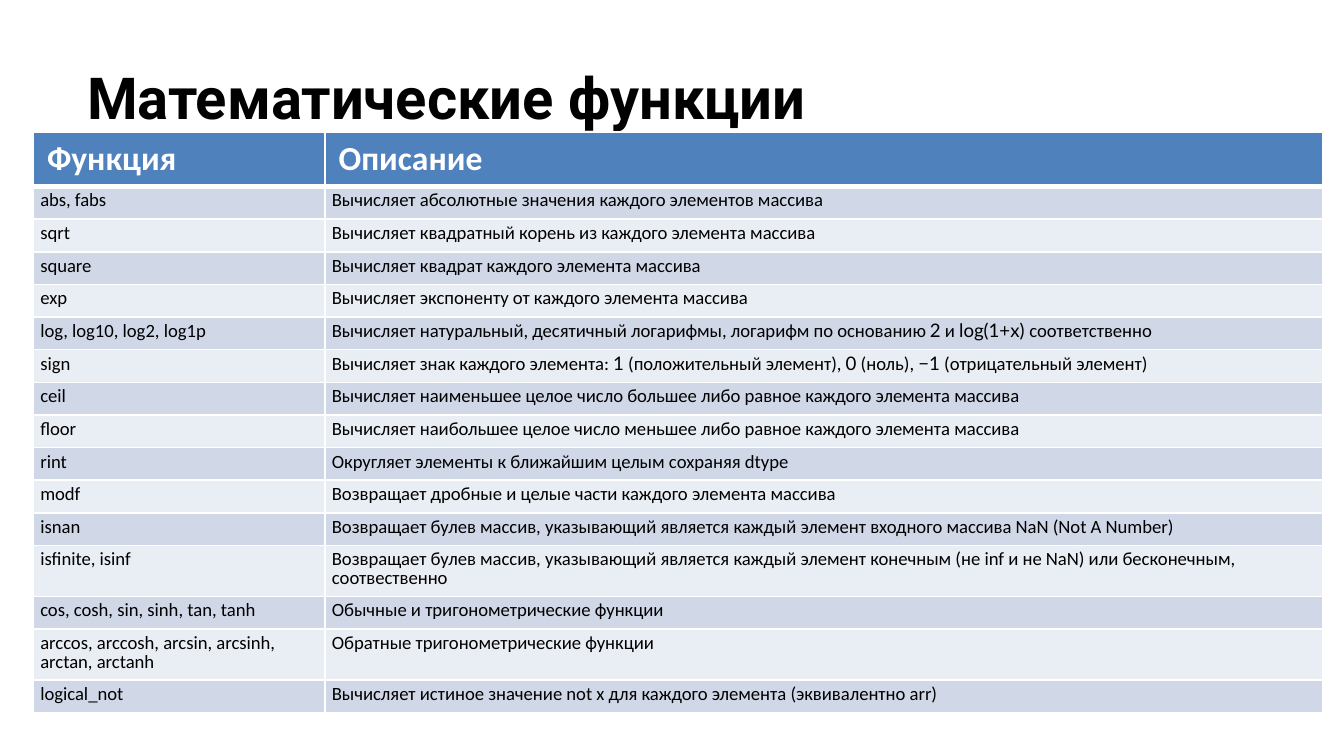
"""Build a slide with a table of mathematical array functions."""
from typing import NamedTuple

from lxml import etree
from pptx import Presentation
from pptx.dml.color import RGBColor
from pptx.enum.text import MSO_ANCHOR
from pptx.oxml.ns import qn
from pptx.util import Pt

TOP = MSO_ANCHOR.TOP
COLORS = {
    "ink": "000000",
    "paper": "FFFFFF",
    "header": "4F81BD",
    "odd": "D0D8E8",
    "even": "E9EDF4",
}
COLUMN_WIDTHS = (156.2, 534.2)
HEADER_HEIGHT, ROW_HEIGHT = 29.2, 17.5
THIN, THICK = 1, 3
SWITCH = "|"
BODY_FONTS = ("Calibri", "Lato")


class Function(NamedTuple):
    names: str
    description: str


class Style(NamedTuple):
    size: float
    color: str
    bold: bool


TITLE = Style(31, "ink", True)
HEADER = Style(18, "paper", True)
BODY = Style(10, "ink", False)

HEADINGS = Function("Функция", "Описание")
FUNCTIONS = (
    Function("abs, fabs", "Вычисляет абсолютные значения каждого элементов массива"),
    Function("sqrt", "Вычисляет квадратный корень из каждого элемента массива"),
    Function("square", "Вычисляет квадрат каждого элемента массива"),
    Function("exp", "Вычисляет экспоненту от каждого элемента массива"),
    Function("log, log10, log2, log1p",
             "Вычисляет натуральный, десятичный логарифмы, логарифм по основанию "
             "|2| и |log(1+x) |соответственно"),
    Function("sign",
             "Вычисляет знак каждого элемента: |1| (положительный элемент), "
             "|0| (ноль), |−1| (отрицательный элемент)"),
    Function("ceil", "Вычисляет наименьшее целое число большее либо равное "
                     "каждого элемента массива"),
    Function("floor", "Вычисляет наибольшее целое число меньшее либо равное "
                      "каждого элемента массива"),
    Function("rint", "Округляет элементы к ближайшим целым сохраняя dtype"),
    Function("modf", "Возвращает дробные и целые части каждого элемента массива"),
    Function("isnan", "Возвращает булев массив, указывающий является каждый элемент "
                      "входного массива NaN (Not A Number)"),
    Function("isfinite, isinf",
             "Возвращает булев массив, указывающий является каждый элемент конечным "
             "(не inf и не NaN) или бесконечным, соотвественно"),
    Function("cos, cosh, sin, sinh, tan, tanh", "Обычные и тригонометрические функции"),
    Function("arccos, arccosh, arcsin, arcsinh,\varctan, arctanh",
             "Обратные тригонометрические функции"),
    Function("logical_not", "Вычисляет истиное значение not x для каждого элемента "
                            "(эквивалентно arr)"),
)


def format_span(span, style: Style, font_name: str) -> None:
    """Apply a text style and a font to one run."""
    span.font.name = font_name
    span.font.size = Pt(style.size)
    span.font.bold = style.bold
    span.font.color.rgb = RGBColor.from_string(COLORS[style.color])


def write_para(para, text: str, style: Style) -> None:
    """Write text, changing between the body fonts at each switch mark."""
    if SWITCH not in text:
        para.text = text
        for span in para.runs:
            format_span(span, style, BODY_FONTS[0])
        return
    for index, part in enumerate(text.split(SWITCH)):
        span = para.add_run()
        span.text = part
        format_span(span, style, BODY_FONTS[index % 2])


def draw_borders(cell, top: float, bottom: float) -> None:
    """Give a cell white borders on its four sides."""
    properties = cell._tc.get_or_add_tcPr()
    sides = {"a:lnL": THIN, "a:lnR": THIN, "a:lnT": top, "a:lnB": bottom}
    for tag, width in sides.items():
        line = etree.SubElement(properties, qn(tag), w=str(Pt(width)))
        fill = etree.SubElement(line, qn("a:solidFill"))
        etree.SubElement(fill, qn("a:srgbClr"), val=COLORS["paper"])


def draw_cell(cell, text: str, row: int) -> None:
    """Fill one table cell according to its row."""
    is_header = row == 0
    draw_borders(cell, THICK if row == 1 else THIN, THICK if is_header else THIN)
    band = "header" if is_header else ("even", "odd")[row % 2]
    cell.fill.solid()
    cell.fill.fore_color.rgb = RGBColor.from_string(COLORS[band])
    cell.vertical_anchor = TOP
    para = cell.text_frame.paragraphs[0]
    write_para(para, text, HEADER if is_header else BODY)
    if not is_header:
        cell.margin_left = cell.margin_right = Pt(3.6)
        cell.margin_top = cell.margin_bottom = Pt(3.6)
        para.line_spacing = Pt(10)


def draw_title(page, text: str) -> None:
    """Draw the slide title."""
    box = page.shapes.add_textbox(Pt(39.6), Pt(26), Pt(671), Pt(86.4))
    frame = box.text_frame
    frame.word_wrap = True
    frame.vertical_anchor = TOP
    frame.margin_left = frame.margin_right = Pt(7.2)
    frame.margin_top = frame.margin_bottom = Pt(7.2)
    frame.text = text
    format_span(frame.paragraphs[0].runs[0], TITLE, "Roboto")


def draw_table(page, rows: tuple[Function, ...]) -> None:
    """Draw the table with its header in the first row."""
    height = HEADER_HEIGHT + ROW_HEIGHT * (len(rows) - 1)
    table = page.shapes.add_table(
        len(rows), len(COLUMN_WIDTHS), Pt(18), Pt(70.7),
        Pt(sum(COLUMN_WIDTHS)), Pt(height)).table
    for column, width in zip(table.columns, COLUMN_WIDTHS):
        column.width = Pt(width)
    for index, row in enumerate(rows):
        table.rows[index].height = Pt(ROW_HEIGHT if index else HEADER_HEIGHT)
        for column, text in enumerate(row):
            draw_cell(table.cell(index, column), text, index)


def main() -> None:
    """Create and save the deck."""
    deck = Presentation()
    deck.slide_width, deck.slide_height = Pt(720), Pt(405)
    page = deck.slides.add_slide(deck.slide_layouts[6])
    draw_title(page, "Математические функции")
    draw_table(page, (HEADINGS, *FUNCTIONS))
    deck.save("out.pptx")


if __name__ == "__main__":
    main()
